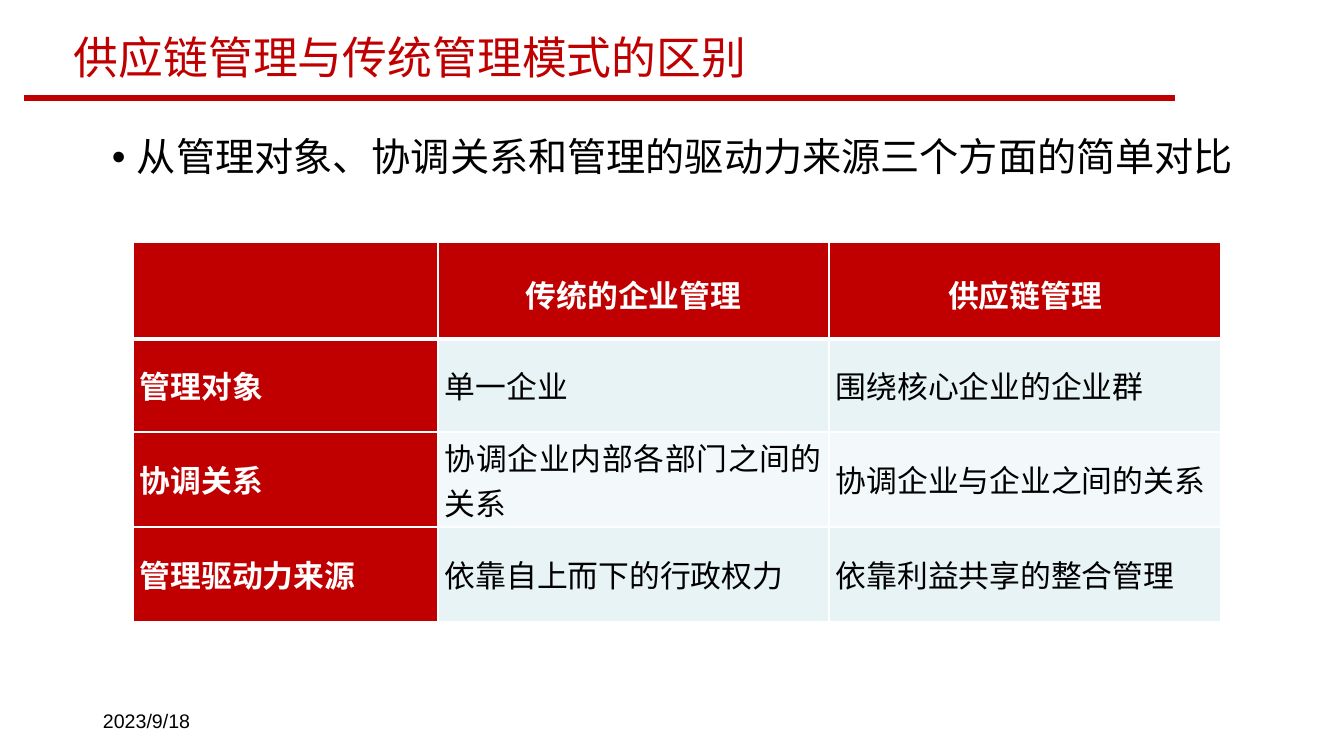
import pptx
import pptx.util
import pptx.dml.color
import pptx.enum.text
import pptx.enum.shapes
import pptx.oxml.ns
from lxml import etree

EMU_PER_PIXEL = 914400 / 100.8
COLORS = {"red": "C00000", "black": "000000", "white": "FFFFFF",
          "band_dark": "E7F3F4", "band_light": "F3F9FA"}
CHINESE = "Noto Sans CJK SC"
ALIGN = pptx.enum.text.PP_ALIGN
ANCHOR = pptx.enum.text.MSO_ANCHOR
qn = pptx.oxml.ns.qn


def pixels(*lengths):
    return [pptx.util.Emu(round(length * EMU_PER_PIXEL)) for length in lengths]


def write(text_frame, text, size, color, font="Arial", bold=False,
          align=ALIGN.LEFT, spacing=1.0):
    text_frame.word_wrap = True
    paragraph = text_frame.paragraphs[0]
    paragraph.text = text
    paragraph.alignment = align
    paragraph.line_spacing = spacing
    run = paragraph.runs[0]
    run.font.size = pptx.util.Pt(size)
    run.font.bold = bold
    run.font.name = font
    run.font.color.rgb = pptx.dml.color.RGBColor.from_string(COLORS[color])
    etree.SubElement(run.font._element, qn("a:ea"), typeface=CHINESE)
    return paragraph


presentation = pptx.Presentation()
presentation.slide_width, presentation.slide_height = pixels(1344, 756)
slide = presentation.slides.add_slide(presentation.slide_layouts[6])

# Title
title = slide.shapes.add_textbox(*pixels(64, 22, 975, 76)).text_frame
title.vertical_anchor = ANCHOR.MIDDLE
write(title, "供应链管理与传统管理模式的区别", 32, "red", CHINESE, spacing=0.9)

# Bulleted introduction
introduction = slide.shapes.add_textbox(*pixels(80, 133, 1185, 109)).text_frame
bullet = write(introduction, "从管理对象、协调关系和管理的驱动力来源三个方面的简单对比",
               28, "black", CHINESE, align=ALIGN.CENTER, spacing=0.9)
bullet.space_before = pptx.util.Pt(10)
properties = bullet._p.get_or_add_pPr()
indent = pixels(25)[0]
properties.set("marL", str(indent))
properties.set("indent", str(-indent))
etree.SubElement(properties, qn("a:buFont"), typeface="Arial")
etree.SubElement(properties, qn("a:buChar"), char="•")

# Date
date = slide.shapes.add_textbox(*pixels(93, 701, 302, 40)).text_frame
date.vertical_anchor = ANCHOR.MIDDLE
write(date, "2023/9/18", 14, "black")

# Comparison table
ROWS = [["", "传统的企业管理", "供应链管理"],
        ["管理对象", "单一企业", "围绕核心企业的企业群"],
        ["协调关系", "协调企业内部各部门之间的关系", "协调企业与企业之间的关系"],
        ["管理驱动力来源", "依靠自上而下的行政权力", "依靠利益共享的整合管理"]]
COLUMN_WIDTHS = [305, 391, 392]
ROW_HEIGHTS = [97, 93, 95, 95]
table = slide.shapes.add_table(
    len(ROWS), len(COLUMN_WIDTHS),
    *pixels(133, 242, sum(COLUMN_WIDTHS), sum(ROW_HEIGHTS))).table
for column, width in zip(table.columns, pixels(*COLUMN_WIDTHS)):
    column.width = width
for row, height in zip(table.rows, pixels(*ROW_HEIGHTS)):
    row.height = height

for row_index, texts in enumerate(ROWS):
    for column_index, text in enumerate(texts):
        cell = table.cell(row_index, column_index)
        is_header = row_index == 0
        is_label = is_header or column_index == 0
        band = "band_dark" if row_index % 2 else "band_light"
        cell.vertical_anchor = ANCHOR.MIDDLE
        cell.margin_left, cell.margin_right = pixels(7, 7)
        cell.margin_top = cell.margin_bottom = 0
        cell.fill.solid()
        cell.fill.fore_color.rgb = pptx.dml.color.RGBColor.from_string(
            COLORS["red" if is_label else band])
        if text:
            write(cell.text_frame, text, 22, "white" if is_label else "black",
                  bold=is_label,
                  align=ALIGN.CENTER if is_header else ALIGN.JUSTIFY,
                  spacing=1.15 if is_header else 1.0)

        # White borders, thicker below the header row
        thick_side = {0: "B", 1: "T"}.get(row_index)
        cell_properties = cell._tc.get_or_add_tcPr()
        for position, side in enumerate("LRTB"):
            width = pptx.util.Pt(3 if side == thick_side else 1)
            border = etree.Element(qn("a:ln" + side), w=str(width))
            fill = etree.SubElement(border, qn("a:solidFill"))
            etree.SubElement(fill, qn("a:srgbClr"), val=COLORS["white"])
            cell_properties.insert(position, border)

# Rule under the title
rule = slide.shapes.add_connector(pptx.enum.shapes.MSO_CONNECTOR.STRAIGHT,
                                  *pixels(24, 98, 1175, 98))
rule.line.color.rgb = pptx.dml.color.RGBColor.from_string(COLORS["red"])
rule.line.width = pptx.util.Pt(4.5)
etree.SubElement(rule._element.spPr, qn("a:effectLst"))

presentation.save("out.pptx")
